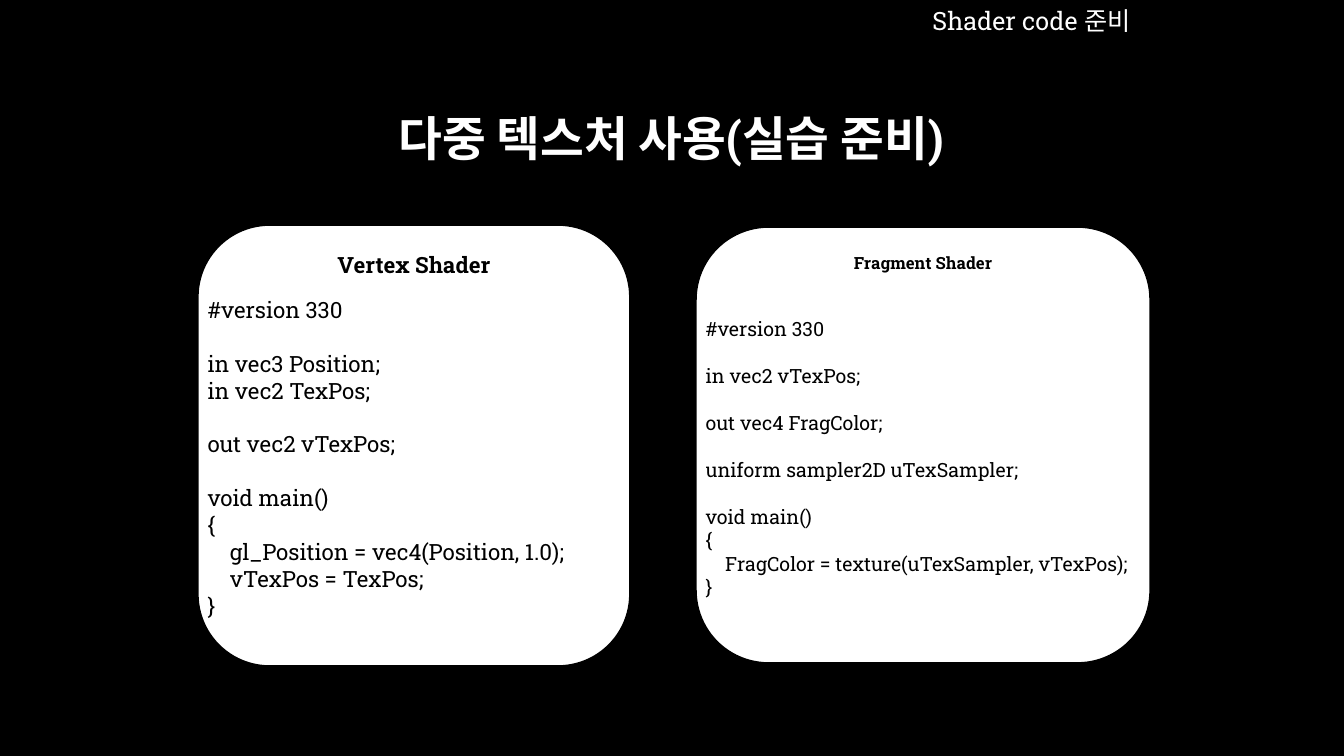
from pptx import Presentation
from pptx.dml.color import RGBColor
from pptx.enum.shapes import MSO_SHAPE as Shape
from pptx.enum.text import MSO_ANCHOR as Anchor, MSO_AUTO_SIZE as AutoSize, PP_ALIGN as Align
from pptx.util import Inches, Pt

COLORS = {"ink": "000000", "paper": "FFFFFF"}
FONT = "Roboto Slab"
LINE_HEIGHT = 1.2

VERTEX_CODE = """#version 330

in vec3 Position;
in vec2 TexPos;

out vec2 vTexPos;

void main()
{
    gl_Position = vec4(Position, 1.0);
    vTexPos = TexPos;
}"""

FRAGMENT_CODE = """#version 330

in vec2 vTexPos;

out vec4 FragColor;

uniform sampler2D uTexSampler;

void main()
{
    FragColor = texture(uTexSampler, vTexPos);
}"""


def color(name):
    """Return the named colour."""
    return RGBColor.from_string(COLORS[name])


def apply(target, values):
    """Set every attribute of the target from a dict."""
    for key, value in values.items():
        setattr(target, key, value)


def write(paragraph, words, size, ink, bold=False, **layout):
    """Put one formatted run into a paragraph."""
    run = paragraph.add_run()
    run.text = words
    apply(run.font, {"name": FONT, "size": Pt(size), "bold": bold})
    run.font.color.rgb = color(ink)
    apply(paragraph, layout)


def add_text_frame(slide, box):
    """Add a wrapping text box that grows with its text."""
    frame = slide.shapes.add_textbox(*map(Inches, box)).text_frame
    apply(frame, {"word_wrap": True, "auto_size": AutoSize.SHAPE_TO_FIT_TEXT})
    return frame


def add_title(slide, box, words):
    """Place the slide title in its placeholder."""
    title = slide.shapes.title
    apply(title, dict(zip(("left", "top", "width", "height"), map(Inches, box))))
    apply(title.text_frame, {"vertical_anchor": Anchor.MIDDLE, "word_wrap": True})
    write(title.text_frame.paragraphs[0], words, 34, "paper", True,
          alignment=Align.CENTER, line_spacing=0.9)


def add_topic(slide, box, words):
    """Place the topic label at the top edge."""
    write(add_text_frame(slide, box).paragraphs[0], words, 18, "paper")


def add_code(slide, box, code, size):
    """Write code lines, turning empty lines into spacing and leading blanks into indents."""
    frame = add_text_frame(slide, box)
    for block_number, block in enumerate(code.split("\n\n")):
        for line_number, line in enumerate(block.split("\n")):
            opens_code = block_number == line_number == 0
            paragraph = frame.paragraphs[0] if opens_code else frame.add_paragraph()
            write(paragraph, line.strip(), size, "ink")
            if block_number and not line_number:
                paragraph.space_before = Pt(size * LINE_HEIGHT)
            if line.startswith(" "):
                paragraph._p.get_or_add_pPr().set("marL", str(Pt(size)))


def add_shader_panel(slide, box, heading, heading_size, code, code_size, code_offset, code_height):
    """Draw a rounded panel with a heading and its shader code."""
    left, top, width, height = box
    panel = slide.shapes.add_shape(Shape.ROUNDED_RECTANGLE, *map(Inches, box))
    panel.shadow.inherit = False
    panel.fill.solid()
    panel.fill.fore_color.rgb = color("paper")
    panel.line.color.rgb = color("ink")
    panel.line.width = Pt(1.5)
    panel.text_frame.vertical_anchor = Anchor.TOP
    write(panel.text_frame.paragraphs[0], heading, heading_size, "ink", True,
          alignment=Align.CENTER)
    add_code(slide, (left, top + code_offset, width, code_height), code, code_size)


def main():
    """Build and save the shader preparation slide."""
    deck = Presentation()
    apply(deck, {"slide_width": Inches(13.33), "slide_height": Inches(7.5)})
    slide = deck.slides.add_slide(deck.slide_layouts[5])
    slide.background.fill.solid()
    slide.background.fill.fore_color.rgb = color("ink")
    add_title(slide, (1, 0.67, 11.32, 1.45), "다중 텍스처 사용(실습 준비)")
    add_shader_panel(slide, (6.9, 2.25, 4.51, 4.33), "Fragment Shader", 12,
                     FRAGMENT_CODE, 14, 0.84, 2.93)
    add_shader_panel(slide, (1.96, 2.23, 4.29, 4.38), "Vertex Shader", 16,
                     VERTEX_CODE, 16, 0.66, 3.33)
    add_topic(slide, (9.15, 0, 2.52, 0.4), "Shader code 준비")
    deck.save("out.pptx")


if __name__ == "__main__":
    main()
